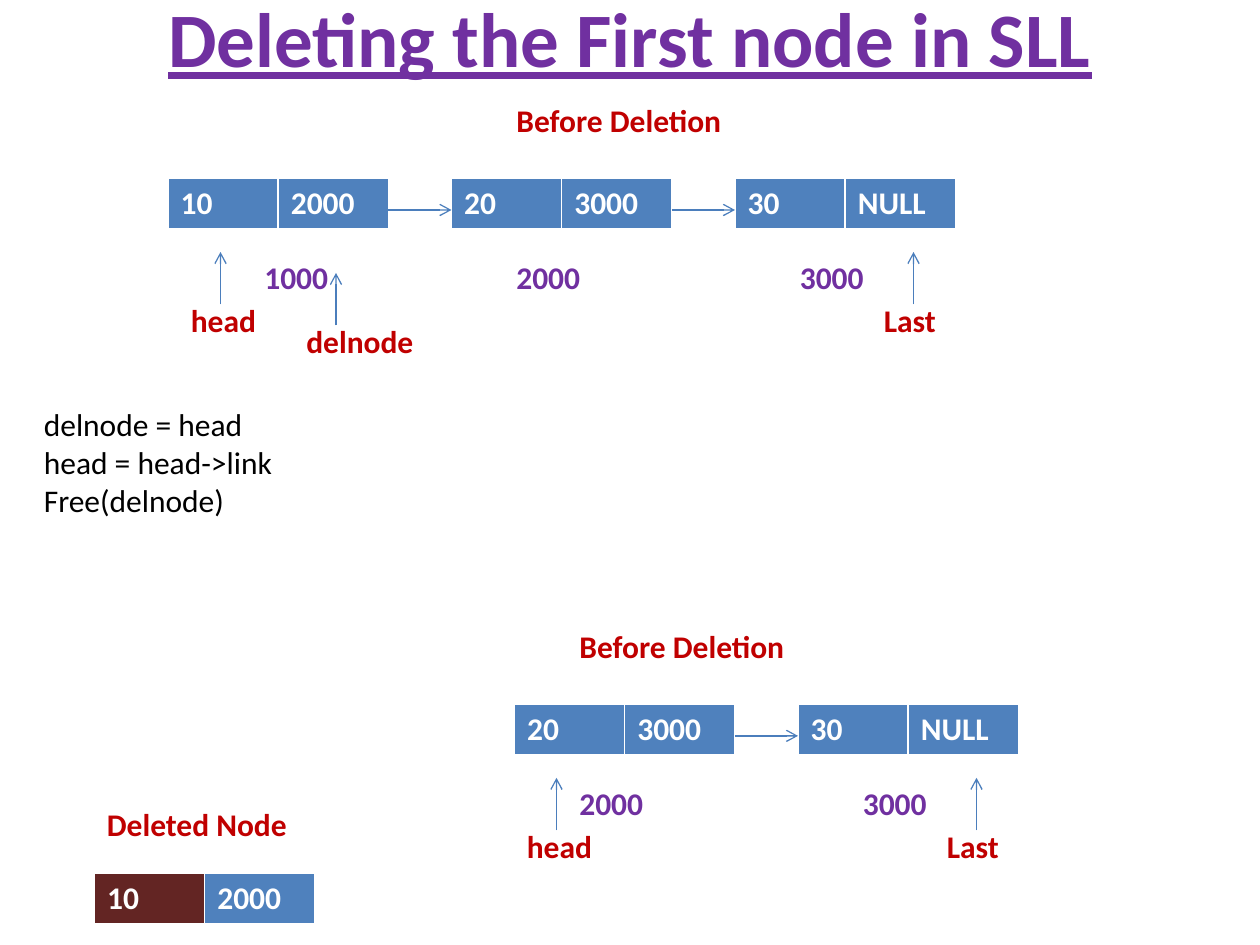
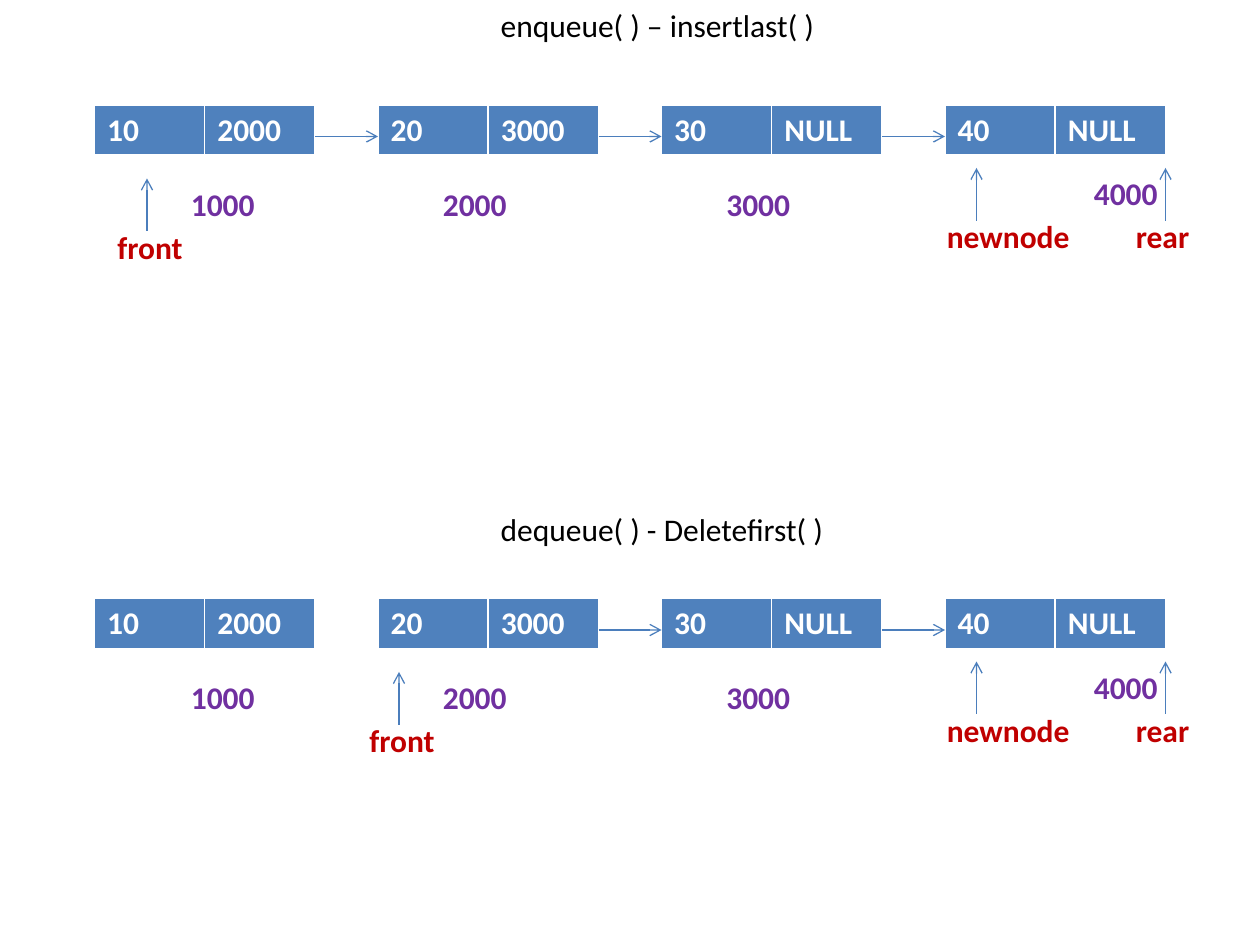
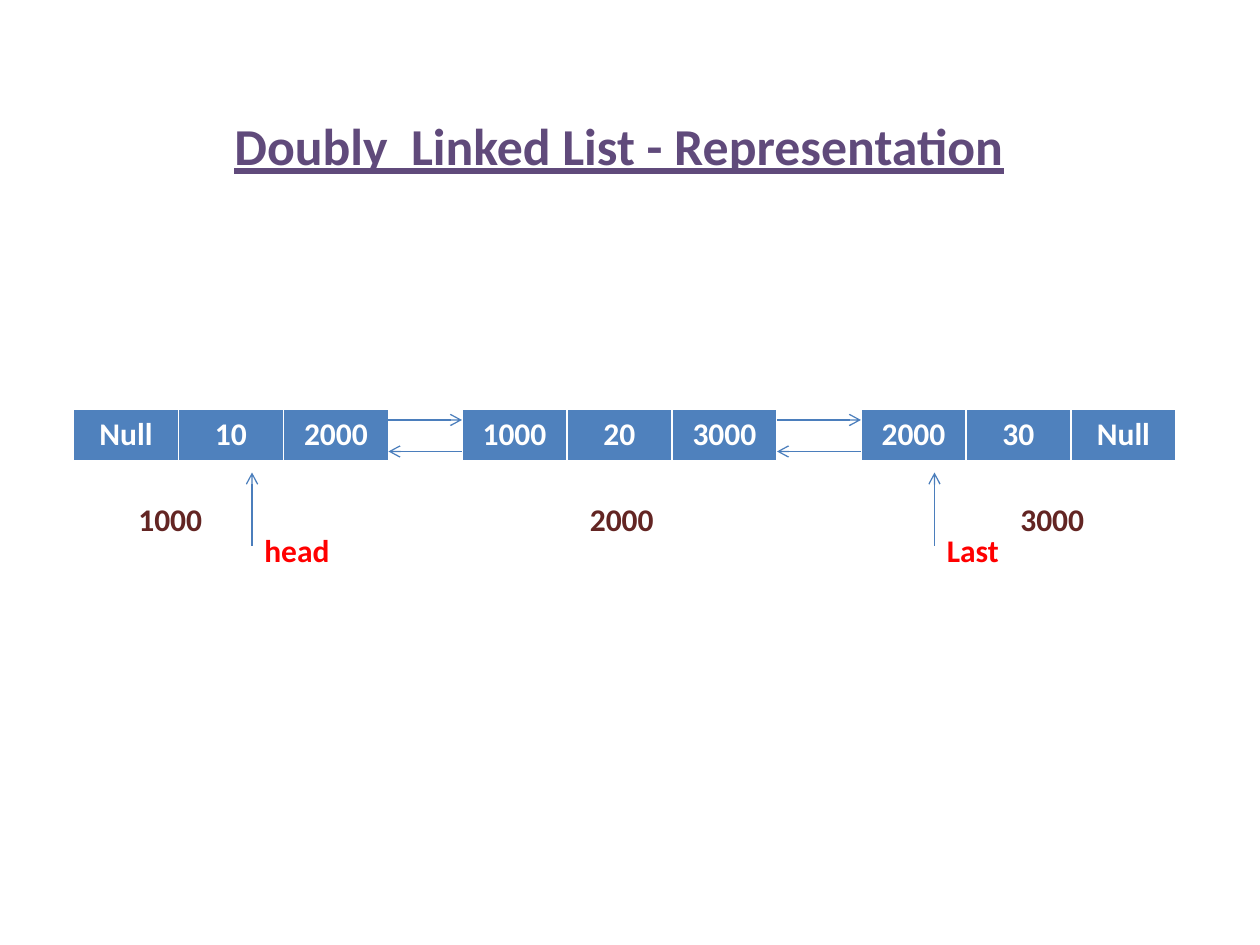
"""Build three slides on deleting, queueing and double linking of list nodes."""
from lxml.etree import SubElement
from pptx import Presentation
from pptx.dml.color import RGBColor
from pptx.enum.shapes import MSO_CONNECTOR
from pptx.enum.text import MSO_ANCHOR, MSO_AUTO_SIZE, PP_ALIGN
from pptx.oxml.ns import qn
from pptx.util import Pt

WHITE = RGBColor(0xFF, 0xFF, 0xFF)
BLACK = RGBColor(0x00, 0x00, 0x00)
BLUE = RGBColor(0x4F, 0x81, 0xBD)
ARROW_BLUE = RGBColor(0x4B, 0x7E, 0xBC)
PURPLE = RGBColor(0x70, 0x30, 0xA0)
VIOLET = RGBColor(0x60, 0x4A, 0x7B)
CRIMSON = RGBColor(0xC0, 0x00, 0x00)
RED = RGBColor(0xFF, 0x00, 0x00)
MAROON = RGBColor(0x63, 0x25, 0x23)

BODY = {"name": "Calibri", "size": Pt(18), "bold": False}
STRONG = {**BODY, "bold": True}
TITLE = {**STRONG, "size": Pt(44), "underline": True}
SUBTITLE = {**TITLE, "size": Pt(29.6)}

LABEL_HEIGHT = 29
LABEL_WIDTH = 66
LONG_LABEL_WIDTH = 100

SINGLE = {"cell_width": 63, "height": 29.5, "align": PP_ALIGN.LEFT,
          "links": [(18, True)], "address_color": PURPLE,
          "pointer_color": CRIMSON, "pointer_length": 30, "label_shift": (-24, 24.5)}
DOUBLE = {"cell_width": 60, "height": 30, "align": PP_ALIGN.CENTER,
          "links": [(6, True), (24, False)], "address_color": MAROON,
          "pointer_color": RED, "pointer_length": 42, "label_shift": (0, 30)}


def node(fields, address=None, pointers=(), linked=True, fills=(), **place):
    """Describe a node; address and pointers carry offsets from its corner."""
    return {"fields": fields, "address": address, "pointers": pointers,
            "linked": linked, "fills": fills, **place}


TEN = ("10", "2000")
TWENTY = ("20", "3000")
THIRTY = ("30", "NULL")
FORTY = ("40", "NULL")
AT_1000 = ("1000", 48, 42)
AT_2000 = ("2000", 30, 42)
AT_3000 = ("3000", 30, 42)
AT_4000 = ("4000", 78, 36)
LAST = ("Last", 102, 42)

newest = node(FORTY, AT_4000, [("rear", 126, 36), ("newnode", 18, 36)])

SLIDES = [
    {
        "title": ("Deleting the First node in SLL", (36, -24, 648, 90), PURPLE, TITLE),
        "captions": [
            ("Before Deletion", (288, 54, 162, LABEL_HEIGHT), CRIMSON, STRONG),
            ("Before Deletion", (324, 355, 162, LABEL_HEIGHT), CRIMSON, STRONG),
            ("Deleted Node", (54, 456.5, 162, LABEL_HEIGHT), CRIMSON, STRONG),
            ("delnode = head\nhead = head->link\nFree(delnode)",
             (18, 228, 252, 73), BLACK, BODY),
        ],
        "kind": SINGLE,
        "chains": [
            (96, 102, 36, [
                node(TEN, AT_1000, [("head", 30, 42), ("delnode", 96, 54)]),
                node(TWENTY, AT_2000),
                node(THIRTY, AT_3000, [LAST])]),
            (294, 402.5, 36, [
                node(TWENTY, ("2000", 30, 42), [("head", 24, 42)]),
                node(THIRTY, AT_3000, [LAST])]),
            (54, 499, 36, [node(TEN, fills=(MAROON, BLUE))]),
        ],
    },
    {
        "captions": [
            ("enqueue( ) – insertlast( )", (279, 0, 237, LABEL_HEIGHT), BLACK, BODY),
            ("dequeue( ) - Deletefirst( )", (279, 288, 237, LABEL_HEIGHT), BLACK, BODY),
        ],
        "kind": SINGLE,
        "chains": [
            (54, 60, 36, [
                node(TEN, AT_1000, [("front", 30, 42)]),
                node(TWENTY, AT_2000), node(THIRTY, AT_3000), newest]),
            (54, 342, 36, [
                node(TEN, AT_1000, linked=False),
                node(TWENTY, AT_2000, [("front", 12, 42)]),
                node(THIRTY, AT_3000), newest]),
        ],
    },
    {
        "title": ("Doubly  Linked List - Representation", (18, 58, 672, 50), VIOLET, SUBTITLE),
        "captions": [],
        "kind": DOUBLE,
        "chains": [
            (42, 234, 45, [
                node(("Null", "10", "2000"), ("1000", 30, 48), [("head", 102, 36)]),
                node(("1000", "20", "3000"), ("2000", 66, 48), left=264),
                node(("2000", "30", "Null"), ("3000", 84, 48), [("Last", 42, 36)],
                     left=492)]),
        ],
    },
]


def write(frame, text, color, font_format, align=PP_ALIGN.LEFT):
    """Fill a text frame with formatted paragraphs."""
    frame.text = text
    for paragraph in frame.paragraphs:
        paragraph.alignment = align
        for run in paragraph.runs:
            run.font.color.rgb = color
            for attribute, value in font_format.items():
                setattr(run.font, attribute, value)


def add_title(slide, text, box, color, font_format):
    """Place and format the title placeholder."""
    title = slide.shapes.title
    for side, length in zip(("left", "top", "width", "height"), box):
        setattr(title, side, Pt(length))
    title.text_frame.vertical_anchor = MSO_ANCHOR.MIDDLE
    write(title.text_frame, text, color, font_format, PP_ALIGN.CENTER)


def add_label(slide, text, box, color, font_format):
    """Add a text box that grows with its text."""
    frame = slide.shapes.add_textbox(*map(Pt, box)).text_frame
    frame.word_wrap = True
    frame.auto_size = MSO_AUTO_SIZE.SHAPE_TO_FIT_TEXT
    write(frame, text, color, font_format)


def add_arrow(slide, *ends):
    """Add a thin arrow pointing at its second end."""
    arrow = slide.shapes.add_connector(MSO_CONNECTOR.STRAIGHT, *map(Pt, ends))
    arrow.line.color.rgb = ARROW_BLUE
    arrow.line.width = Pt(0.75)
    SubElement(arrow.line._get_or_add_ln(), qn("a:tailEnd"), type="arrow")
    SubElement(arrow._element.spPr, qn("a:effectLst"))


def add_borders(cell):
    """Give a cell white borders, thicker below."""
    properties = cell._tc.get_or_add_tcPr()
    for side, width in (("L", 1), ("R", 1), ("T", 1), ("B", 3)):
        border = SubElement(properties, qn(f"a:ln{side}"), w=str(Pt(width)))
        fill = SubElement(border, qn("a:solidFill"))
        SubElement(fill, qn("a:srgbClr"), val=str(WHITE))


def add_fields(slide, item, left, top, kind):
    """Draw the fields of a node as a one-row table."""
    fields = item["fields"]
    width = kind["cell_width"] * len(fields)
    table = slide.shapes.add_table(
        1, len(fields), *map(Pt, (left, top, width, kind["height"]))).table
    fills = item["fills"] or [BLUE] * len(fields)
    for cell, field, fill in zip(table.iter_cells(), fields, fills):
        add_borders(cell)
        cell.fill.solid()
        cell.fill.fore_color.rgb = fill
        write(cell.text_frame, field, WHITE, STRONG, kind["align"])


def add_chain(slide, left, top, gap, nodes, kind):
    """Draw nodes in a row with their links, addresses and pointers."""
    previous_right, linked = None, False
    for item in nodes:
        left = item.get("left", left)
        add_fields(slide, item, left, top, kind)
        if linked:
            for drop, forward in kind["links"]:
                start, end = (previous_right, left) if forward else (left, previous_right)
                add_arrow(slide, start, top + drop, end, top + drop)
        if item["address"]:
            address, across, down = item["address"]
            add_label(slide, address, (left + across, top + down, LABEL_WIDTH, LABEL_HEIGHT),
                      kind["address_color"], STRONG)
        for name, across, down in item["pointers"]:
            x, tip = left + across, top + down
            add_arrow(slide, x, tip + kind["pointer_length"], x, tip)
            shift_x, shift_y = kind["label_shift"]
            width = LABEL_WIDTH if len(name) <= 5 else LONG_LABEL_WIDTH
            add_label(slide, name, (x + shift_x, tip + shift_y, width, LABEL_HEIGHT),
                      kind["pointer_color"], STRONG)
        previous_right = left + kind["cell_width"] * len(item["fields"])
        linked = item["linked"]
        left = previous_right + gap


def main():
    """Build and save the presentation."""
    deck = Presentation()
    deck.slide_width, deck.slide_height = Pt(720), Pt(540)
    title_only, blank = deck.slide_layouts[5], deck.slide_layouts[6]
    for content in SLIDES:
        slide = deck.slides.add_slide(title_only if "title" in content else blank)
        if "title" in content:
            add_title(slide, *content["title"])
        for chain in content["chains"]:
            add_chain(slide, *chain, content["kind"])
        for caption in content["captions"]:
            add_label(slide, *caption)
    deck.save("out.pptx")


if __name__ == "__main__":
    main()
